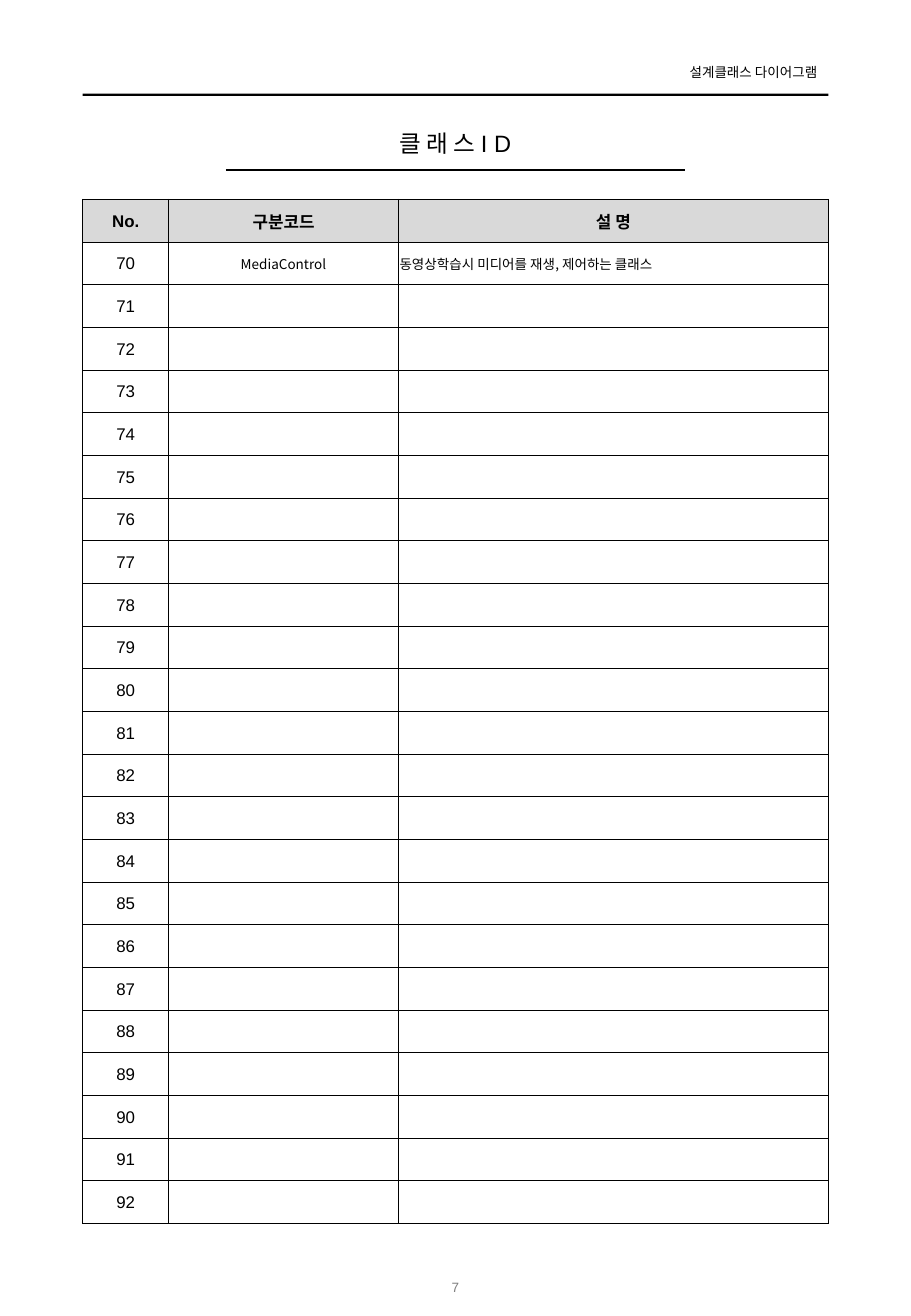
"""Build the class ID list page of a design document."""
from lxml import etree
from pptx import Presentation
from pptx.dml.color import RGBColor
from pptx.enum import shapes, text
from pptx.oxml import ns
from pptx.util import Inches, Pt

HEADER = "설계클래스 다이어그램"
TITLE = "클 래 스 I D"
PAGE_NUMBER = "7"
HEADINGS = ("No.", "구분코드", "설 명")
CLASSES = {70: ("MediaControl", "동영상학습시 미디어를 재생, 제어하는 클래스")}
NUMBERS = range(70, 93)

BLACK = RGBColor(0x00, 0x00, 0x00)
WHITE = RGBColor(0xFF, 0xFF, 0xFF)
GRAY = RGBColor(0x80, 0x80, 0x80)
HEADING_FILL = RGBColor(0xD9, 0xD9, 0xD9)
LATIN, KOREAN = "Arial", "Noto Sans CJK KR"
LEFT, WIDTH = 0.68, 6.14
TABLE_TOP, TABLE_HEIGHT = 1.64, 8.43
COLUMN_WIDTHS = (0.71, 1.89, 3.54)
CENTER, RIGHT = text.PP_ALIGN.CENTER, text.PP_ALIGN.RIGHT
TOP, MIDDLE = text.MSO_ANCHOR.TOP, text.MSO_ANCHOR.MIDDLE


def set_all(target, values):
    for name, value in values.items():
        setattr(target, name, value)


def write(frame, words, size, align, color=BLACK, font=LATIN, bold=False):
    para = frame.paragraphs[0]
    para.alignment = align
    span = para.add_run()
    span.text = words
    set_all(span.font, {"size": Pt(size), "name": font, "bold": bold})
    span.font.color.rgb = color


def place(shape, *bounds):
    names = ("left", "top", "width", "height")
    set_all(shape, dict(zip(names, map(Inches, bounds))))


def add_header(page):
    bar = page.shapes.add_shape(
        shapes.MSO_SHAPE.RECTANGLE, *map(Inches, (LEFT, 0.77, WIDTH, 0.02)))
    bar.shadow.inherit = False
    bar.fill.solid()
    bar.fill.fore_color.rgb = BLACK
    bar.line.fill.background()

    box = page.shapes.add_textbox(*map(Inches, (5.47, 0.48, 1.34, 0.24)))
    set_all(box.text_frame, {"word_wrap": False, "margin_right": Inches(0.08)})
    write(box.text_frame, HEADER, 8, RIGHT)


def add_title(page):
    title = page.shapes.title
    place(title, LEFT, 1.01, WIDTH, 0.34)
    set_all(title.text_frame, {
        "margin_left": 0, "margin_right": 0, "word_wrap": True,
        "vertical_anchor": TOP, "auto_size": text.MSO_AUTO_SIZE.NONE})
    write(title.text_frame, TITLE, 14, CENTER)

    rule = page.shapes.add_connector(
        shapes.MSO_CONNECTOR.STRAIGHT, *map(Inches, (1.86, 1.4, 5.64, 1.4)))
    rule.line.color.rgb = BLACK
    rule.line.width = Pt(1)
    etree.SubElement(rule._element.spPr, ns.qn("a:effectLst"))


def add_borders(cell):
    properties = cell._tc.get_or_add_tcPr()
    for position, side in enumerate(("lnL", "lnR", "lnT", "lnB")):
        border = etree.Element(ns.qn(f"a:{side}"), w=str(Pt(0.5)))
        fill = etree.SubElement(border, ns.qn("a:solidFill"))
        etree.SubElement(fill, ns.qn("a:srgbClr"), val=str(BLACK))
        properties.insert(position, border)


def add_class_table(page):
    rows = [HEADINGS] + [(str(n), *CLASSES.get(n, ("", ""))) for n in NUMBERS]
    table = page.shapes.add_table(
        len(rows), len(HEADINGS),
        *map(Inches, (LEFT, TABLE_TOP, WIDTH, TABLE_HEIGHT))).table
    table.horz_banding = False
    for column, width in zip(table.columns, COLUMN_WIDTHS):
        column.width = Inches(width)
    for r, row in enumerate(rows):
        table.rows[r].height = Inches(TABLE_HEIGHT / len(rows))
        for c, words in enumerate(row):
            cell = table.cell(r, c)
            margins = ("margin_left", "margin_right", "margin_top")
            set_all(cell, dict.fromkeys(margins, Inches(0.01)))
            set_all(cell, {"margin_bottom": 0, "vertical_anchor": MIDDLE})
            cell.fill.solid()
            cell.fill.fore_color.rgb = WHITE if r else HEADING_FILL
            add_borders(cell)
            is_entry = r > 0 and c > 0
            if words:
                write(cell.text_frame, words, 8 if is_entry else 10,
                      text.PP_ALIGN.LEFT if r and c == 2 else CENTER,
                      font=KOREAN if is_entry else LATIN, bold=r == 0)


def add_page_number(page):
    box = page.shapes.add_textbox(*map(Inches, (3.28, 10.39, 0.94, 0.4)))
    set_all(box.text_frame, {"word_wrap": True, "vertical_anchor": MIDDLE})
    write(box.text_frame, PAGE_NUMBER, 8, CENTER, GRAY)


def main():
    deck = Presentation()
    set_all(deck, {"slide_width": Inches(7.5), "slide_height": Inches(10.83)})
    page = deck.slides.add_slide(deck.slide_layouts.get_by_name("Title Only"))
    for add_part in (add_header, add_title, add_page_number, add_class_table):
        add_part(page)
    deck.save("out.pptx")


if __name__ == "__main__":
    main()
